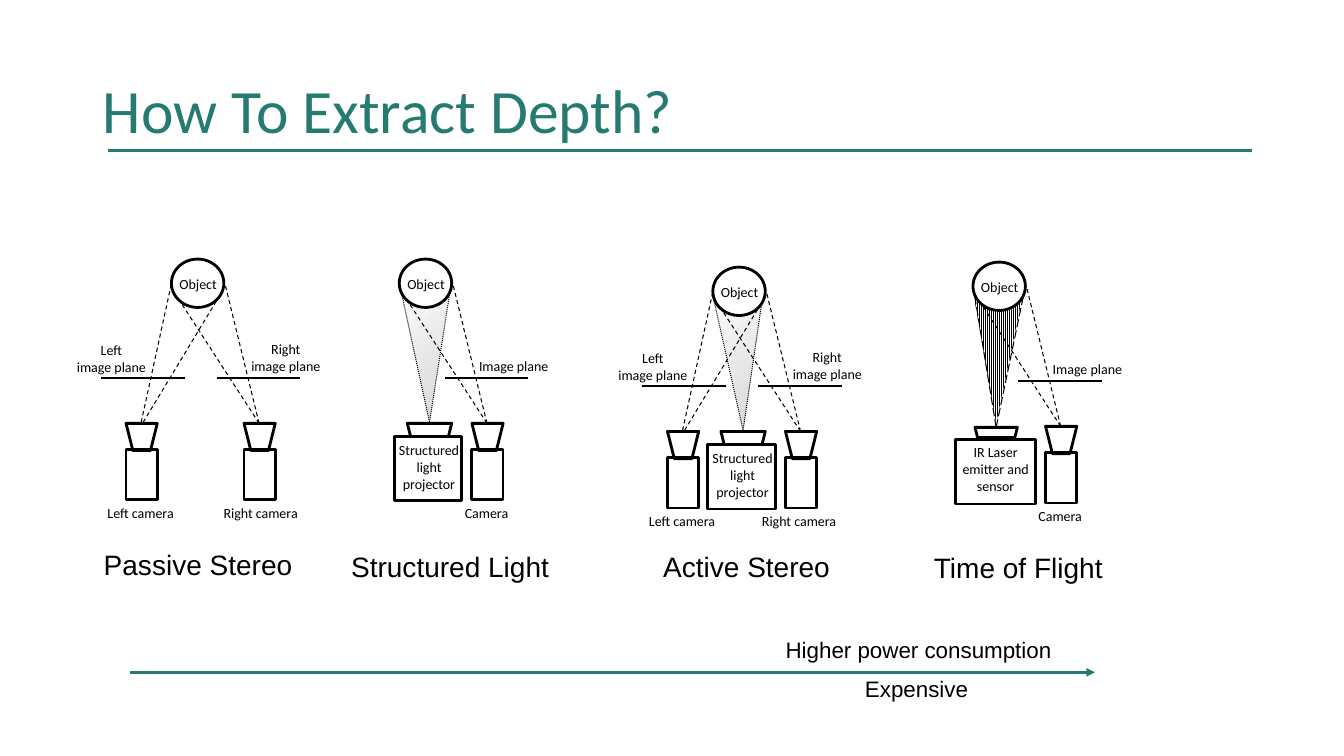
from dataclasses import dataclass
from typing import Optional

from lxml.etree import SubElement
from pptx import Presentation
from pptx.dml.color import RGBColor
from pptx.enum.dml import MSO_LINE as Dash, MSO_PATTERN as Pattern
from pptx.enum.shapes import MSO_CONNECTOR as Link, MSO_SHAPE as Kind
from pptx.enum.text import MSO_ANCHOR as Anchor, MSO_AUTO_SIZE as Fit, PP_ALIGN as Align
from pptx.oxml.ns import qn
from pptx.util import Inches, Pt

COLORS = {"teal": "257B70", "ink": "000000", "paper": "FFFFFF", "pale": "FAFAFA", "gray": "D6D6D6"}
Point = tuple[float, float]
Box = tuple[float, float, float, float]

GLOW = [(0.02, 0.35), (0.3, 1.6), (0.49, 0.35), (0.48, 0.37), (0.46, 0.4), (0.45, 0.43),
        (0.42, 0.45), (0.38, 0.47), (0.34, 0.49), (0.3, 0.49), (0.23, 0.5), (0.19, 0.49),
        (0.14, 0.47), (0.12, 0.46), (0.07, 0.43)]
LASER = [(0, 0.29), (0.23, 1.6), (0.48, 0.39), (0.45, 0.42), (0.41, 0.45), (0.38, 0.47),
         (0.33, 0.48), (0.24, 0.48), (0.2, 0.48), (0.15, 0.46), (0.11, 0.44), (0.06, 0.41),
         (0.02, 0.36)]


@dataclass(frozen=True)
class Camera:
    body: float
    name: str
    label: float
    plane: float
    side: str
    note: Point
    rays: tuple[tuple[Point, Point], ...]


@dataclass(frozen=True)
class Source:
    text: str
    label: Point
    body: Box
    lens: Box
    cone: list[Point]
    tip: Point
    ends: tuple[Point, Point]
    dash: Dash
    striped: bool = False


@dataclass(frozen=True)
class Rig:
    x: float
    y: float
    cameras: list[Camera]
    title: str
    place: Box
    source: Optional[Source] = None


def left_cam() -> Camera:
    return Camera(-0.45, "Left camera", -0.79, -0.7, "Left\nimage plane", (-1.08, 0.77),
                  (((-0.28, 1.62), (0.45, 0.41)), ((-0.3, 1.62), (0.01, 0.2))))


def right_cam(name: str, label: float, side: str) -> Camera:
    return Camera(0.72, name, label, 0.45, side, (0.65, 0.76),
                  (((0.87, 1.63), (0.08, 0.41)), ((0.87, 1.63), (0.53, 0.24))))


def lamp(ends: tuple[Point, Point]) -> Source:
    return Source("Structured light projector", (-0.19, 1.76), (-0.05, 1.76, 0.67, 0.64),
                  (0.08, 1.63, 0.44, 0.13), GLOW, (0.3, 1.62), ends, Dash.ROUND_DOT)


EMITTER = Source("IR Laser\nemitter and sensor", (-0.26, 1.75), (-0.17, 1.76, 0.79, 0.64),
                 (0.02, 1.64, 0.42, 0.1), LASER, (0.23, 1.64), ((0.01, 0.29), (0.51, 0.29)),
                 Dash.LONG_DASH, True)
PAIR = "Right\nimage plane"
RIGS = [
    Rig(1.7, 2.57, [left_cam(), right_cam("Right camera", 0.4, PAIR)],
        "Passive Stereo", (0.76, 5.38, 2.41, 0.43)),
    Rig(3.96, 2.57, [right_cam("Camera", 0.38, "Image plane")],
        "Structured Light", (3.26, 5.4, 2.41, 0.43), lamp(((0.01, 0.28), (0.51, 0.28)))),
    Rig(7.07, 2.65, [left_cam(), right_cam("Right camera", 0.37, PAIR)],
        "Active Stereo", (6.47, 5.4, 1.87, 0.43), lamp(((0, 0.28), (0.48, 0.39)))),
    Rig(9.65, 2.6, [right_cam("Camera", 0.38, "Image plane")],
        "Time of Flight", (9.1, 5.41, 2, 0.43), EMITTER),
]


def rgb(name: str) -> RGBColor:
    return RGBColor.from_string(COLORS[name])


def style(frame, size: float, font: str, color: str, align: Align) -> None:
    for para in frame.paragraphs:
        para.alignment = align
        for run in para.runs:
            run.font.size = Pt(size)
            run.font.name = font
            run.font.color.rgb = rgb(color)


def write(slide, text: str, box: Box, size: float = 10, font: str = "Calibri",
          anchor: Anchor = Anchor.TOP) -> None:
    frame = slide.shapes.add_textbox(*map(Inches, box)).text_frame
    frame.word_wrap = True
    frame.vertical_anchor = anchor
    frame.text = text
    style(frame, size, font, "ink", Align.CENTER)


def stroke(slide, start: Point, end: Point, width: float = 2, color: str = "ink",
           dash: Optional[Dash] = None, arrow: bool = False) -> None:
    line = slide.shapes.add_connector(Link.STRAIGHT, *map(Inches, (*start, *end)))
    line.line.color.rgb = rgb(color)
    line.line.width = Pt(width)
    if dash is not None:
        line.line.dash_style = dash
    props = line.element.spPr
    if arrow:
        SubElement(props.find(qn("a:ln")), qn("a:tailEnd"), type="triangle")
    SubElement(props, qn("a:effectLst"))


def outline(slide, kind: Kind, box: Box, turn: float = 0) -> None:
    shape = slide.shapes.add_shape(kind, *map(Inches, box))
    shape.shadow.inherit = False
    shape.fill.background()
    shape.line.color.rgb = rgb("ink")
    shape.line.width = Pt(2)
    shape.rotation = turn


def draw_cone(slide, rig: Rig, source: Source) -> None:
    points = [(Inches(rig.x + x), Inches(rig.y + y)) for x, y in source.cone]
    pen = slide.shapes.build_freeform(*points[0])
    pen.add_line_segments(points[1:], close=True)
    cone = pen.convert_to_shape()
    cone.shadow.inherit = False
    cone.line.fill.background()
    if source.striped:
        cone.fill.patterned()
        cone.fill.pattern = Pattern.LIGHT_VERTICAL
        cone.fill.fore_color.rgb = rgb("ink")
        cone.fill.back_color.rgb = rgb("paper")
    else:
        cone.fill.gradient()
        cone.fill.gradient_angle = 315
        for stop, name, spot in zip(cone.fill.gradient_stops, ("pale", "gray"), (0, 1)):
            stop.color.rgb = rgb(name)
            stop.position = spot


def draw_rig(slide, rig: Rig) -> None:
    def at(point: Point) -> Point:
        return rig.x + point[0], rig.y + point[1]

    def area(box: Box) -> Box:
        return (*at(box[:2]), *box[2:])

    source = rig.source
    if source:
        draw_cone(slide, rig, source)
    for cam in rig.cameras:
        outline(slide, Kind.RECTANGLE, area((cam.body, 1.89, 0.31, 0.5)))
        outline(slide, Kind.TRAPEZOID, area((cam.body, 1.63, 0.31, 0.27)), 180)
        stroke(slide, at((cam.plane, 1.18)), at((cam.plane + 0.83, 1.18)))
        for start, end in cam.rays:
            stroke(slide, at(start), at(end), 0.75, dash=Dash.DASH)
        write(slide, cam.name, area((cam.label, 2.39, 0.97, 0.26)))
        write(slide, cam.side, area((*cam.note, 0.97, 0.43)), anchor=Anchor.BOTTOM)
    outline(slide, Kind.OVAL, area((0, 0, 0.52, 0.48)))
    write(slide, "Object", area((-0.22, 0.11, 0.97, 0.26)))
    if source:
        outline(slide, Kind.RECTANGLE, area(source.body))
        outline(slide, Kind.TRAPEZOID, area(source.lens), 180)
        write(slide, source.text, area((*source.label, 0.97, 0.6)))
        for end in source.ends:
            stroke(slide, at(source.tip), at(end), 0.75, dash=source.dash)
    write(slide, rig.title, rig.place, 20, "Arial")


def main() -> None:
    deck = Presentation()
    deck.slide_width, deck.slide_height = Inches(13.33), Inches(7.5)
    slide = deck.slides.add_slide(deck.slide_layouts[5])
    title = slide.shapes.title
    title.left, title.top, title.width, title.height = map(Inches, (0.92, 0.4, 11.5, 1.45))
    frame = title.text_frame
    frame.text = "How To Extract Depth?"
    frame.auto_size = Fit.NONE
    frame.vertical_anchor = Anchor.MIDDLE
    frame.paragraphs[0].line_spacing = 0.9
    style(frame, 44, "Calibri", "teal", Align.LEFT)
    stroke(slide, (1.07, 1.49), (12.42, 1.49), color="teal")
    for rig in RIGS:
        draw_rig(slide, rig)
    stroke(slide, (1.29, 6.67), (10.86, 6.67), color="teal", arrow=True)
    write(slide, "Higher power consumption", (7.22, 6.26, 3.78, 0.36), 16, "Arial")
    write(slide, "Expensive", (7.2, 6.65, 3.78, 0.36), 16, "Arial")
    deck.save("out.pptx")


if __name__ == "__main__":
    main()
